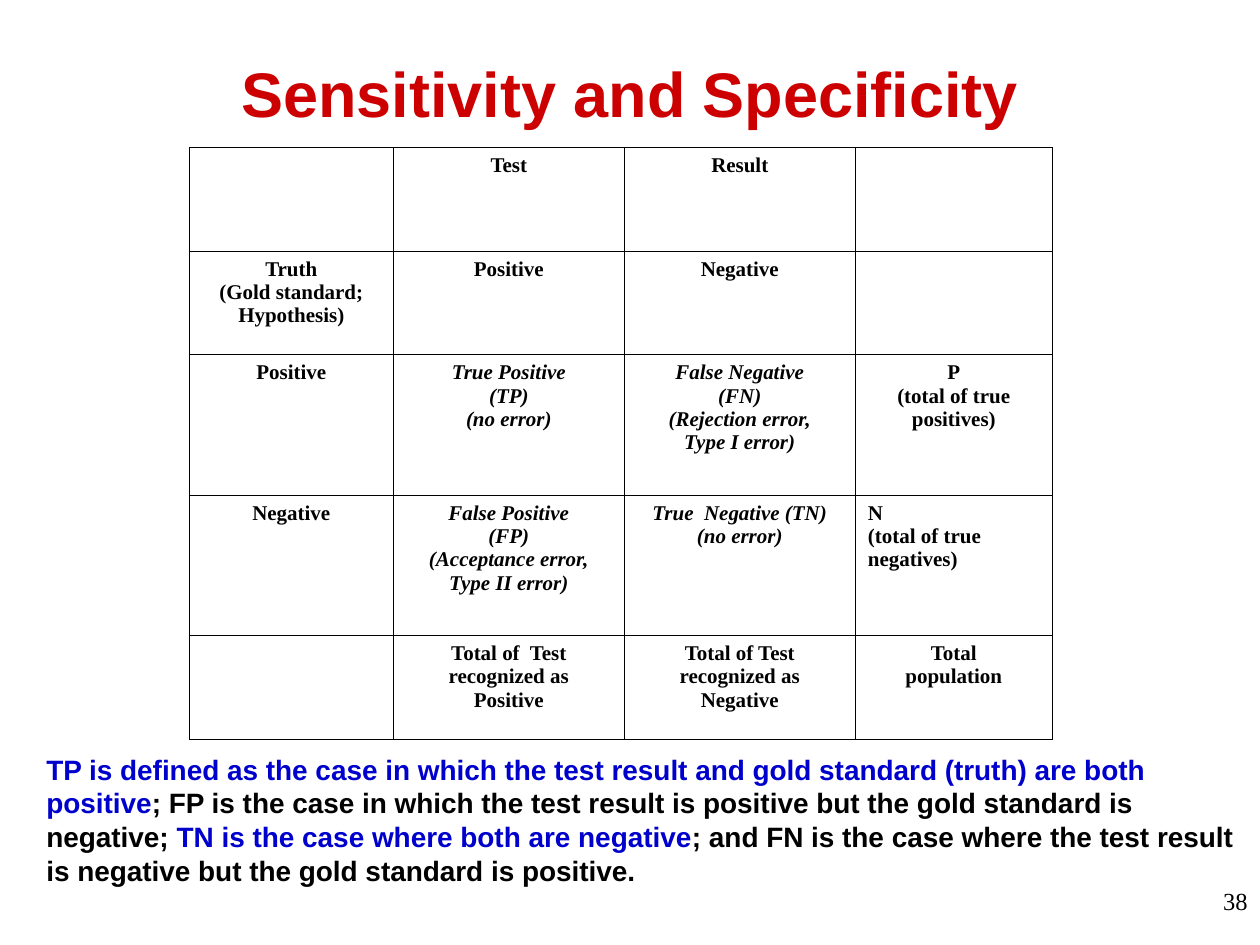
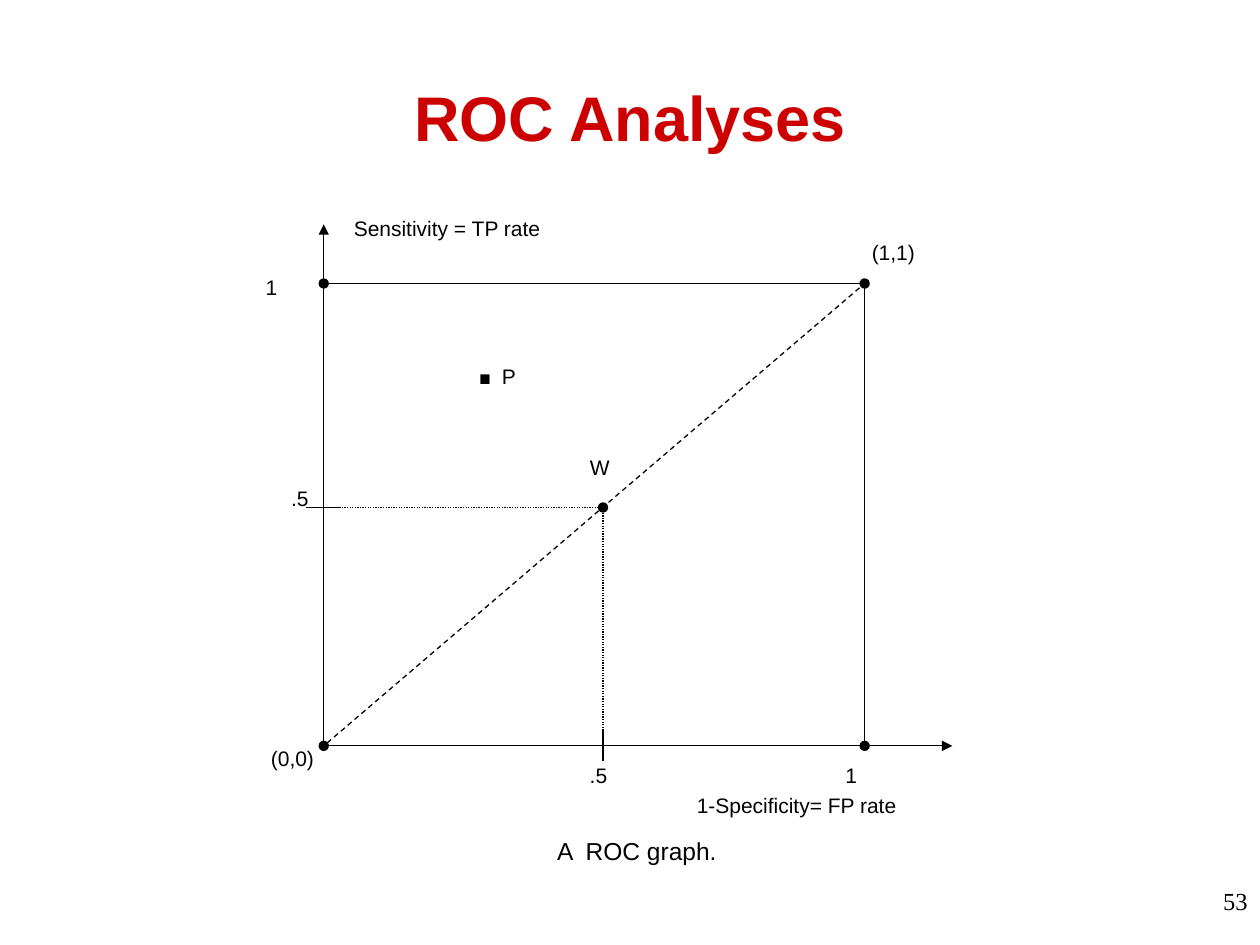
"""Build two slides on classifier evaluation: a truth table and a ROC graph."""
from dataclasses import dataclass
from typing import Any, NamedTuple, Optional

import lxml.etree
import pptx
import pptx.dml.color
import pptx.enum.dml
import pptx.enum.shapes
import pptx.enum.text
import pptx.oxml.ns
import pptx.util

Pt = pptx.util.Pt
Align = pptx.enum.text.PP_ALIGN
Anchor = pptx.enum.text.MSO_ANCHOR
Dash = pptx.enum.dml.MSO_LINE


@dataclass(frozen=True)
class Theme:
    red: str = "CC0000"
    blue: str = "0000CC"
    black: str = "000000"
    white: str = "FFFFFF"
    sans: str = "Arial"
    serif: str = "Times New Roman"
    title_size: float = 36
    body_size: float = 16
    caption_size: float = 14
    label_size: float = 12
    marker_size: float = 37
    line_width: float = 0.75
    border_width: float = 0.45


THEME = Theme()


class Box(NamedTuple):
    left: float
    top: float
    width: float
    height: float


class Run(NamedTuple):
    text: str
    size: float = THEME.label_size
    color: str = THEME.black
    font: str = THEME.sans
    bold: bool = False
    italic: bool = False


class Label(NamedTuple):
    box: Box
    runs: tuple[Run, ...]
    align: Align = Align.LEFT
    padded: bool = False


class Segment(NamedTuple):
    start: tuple[float, float]
    end: tuple[float, float]
    head: str = ""
    tail: str = ""
    dash: Optional[Dash] = None


class CellText(NamedTuple):
    lines: tuple[str, ...] = ()
    italic: bool = False
    align: Align = Align.CENTER


PADDING = {"margin_left": Pt(7.2), "margin_right": Pt(7.2), "margin_top": Pt(3.6), "margin_bottom": Pt(3.6)}
NO_PADDING = dict.fromkeys(PADDING, 0)

COLUMN_WIDTHS = (116.6, 132, 132, 112.6)
ROW_HEIGHTS = (59.2, 59.2, 80.2, 80.2, 59.2)
TRUTH_TABLE = (
    (CellText(), CellText(("Test",)), CellText(("Result",)), CellText()),
    (CellText(("Truth", "(Gold standard; Hypothesis)")), CellText(("Positive",)),
     CellText(("Negative",)), CellText()),
    (CellText(("Positive",)), CellText(("True Positive", "(TP)", "(no error)"), True),
     CellText(("False Negative", "(FN)", "(Rejection error,", "Type I error)"), True),
     CellText(("P", "(total of true positives)"))),
    (CellText(("Negative",)),
     CellText(("False Positive", "(FP)", "(Acceptance error,", "Type II error)"), True),
     CellText(("True  Negative (TN)", "(no error)"), True),
     CellText(("N", "(total of true", "negatives)"), align=Align.LEFT)),
    (CellText(), CellText(("Total of  Test", "recognized as", "Positive")),
     CellText(("Total of Test", "recognized as", "Negative")), CellText(("Total", "population"))),
)

DEFINITIONS = tuple(
    Run(text, THEME.body_size, color, bold=True)
    for text, color in (
        ("TP is defined as the case in which the test result and gold standard (truth) are both positive",
         THEME.blue),
        ("; FP is the case in which the test result is positive but the gold standard is negative; ",
         THEME.black),
        ("TN is the case where both are negative", THEME.blue),
        ("; and FN is the case where the test result is negative but the gold standard is positive.",
         THEME.black),
    )
)

X_ZERO, X_HALF, X_ONE, X_ARROW = 185, 344.6, 494.1, 544.2
Y_ZERO, Y_HALF, Y_ONE, Y_ARROW = 426.2, 290, 162, 128.2
TICK = 10
ROC_LINES = (
    Segment((X_HALF, Y_ZERO - 8.6), (X_HALF, Y_ZERO + 8.6)),
    Segment((X_ZERO, Y_ARROW), (X_ZERO, Y_ZERO), head="triangle"),
    Segment((X_ZERO, Y_ZERO), (X_ARROW, Y_ZERO), tail="triangle"),
    Segment((X_ZERO, Y_ZERO), (X_ONE, Y_ONE), "oval", "oval", Dash.DASH),
    Segment((X_ZERO, Y_HALF), (X_HALF, Y_HALF), tail="oval", dash=Dash.ROUND_DOT),
    Segment((X_HALF, Y_HALF), (X_HALF, Y_ZERO), dash=Dash.ROUND_DOT),
    Segment((X_ZERO - TICK, Y_HALF), (X_ZERO + TICK, Y_HALF)),
    Segment((X_ONE, Y_ONE), (X_ZERO, Y_ONE), tail="oval"),
    Segment((X_ONE, Y_ONE), (X_ONE, Y_ZERO), tail="oval"),
)
ROC_LABELS = (
    Label(Box(337, 260, 34, 18.7), (Run("W"),)),
    Label(Box(265, 179.3, 59.8, 42.5),
          (Run(".", THEME.marker_size, bold=True), Run(" ", THEME.body_size, bold=True), Run("P")),
          padded=True),
    Label(Box(337, 435.6, 38.9, 22.3), (Run(".5"),)),
    Label(Box(195.1, 119.5, 179.3, 25.2), (Run("Sensitivity = TP rate"),), padded=True),
    Label(Box(398.2, 452.9, 172, 25.2), (Run("1-Specificity= FP rate"),)),
    Label(Box(144.7, 153.4, 20.2, 17.3), (Run("1"),), Align.RIGHT, True),
    Label(Box(483.1, 435.6, 31, 17.3), (Run("1"),)),
    Label(Box(144.7, 277.2, 31.7, 32.4), (Run(".5"),), Align.RIGHT),
    Label(Box(498.2, 136.8, 31, 17.3), (Run("(1,1)"),)),
    Label(Box(154.8, 426.2, 35.3, 17.3), (Run("(0,0)"),)),
)


def apply_format(target: Any, values: dict[str, Any]) -> None:
    """Set every named attribute on the target."""
    for name, value in values.items():
        setattr(target, name, value)


def rgb(color: str) -> pptx.dml.color.RGBColor:
    """Turn a hex string into a colour."""
    return pptx.dml.color.RGBColor.from_string(color)


def in_points(values: tuple[float, ...]) -> list[pptx.util.Length]:
    """Turn numbers into point lengths."""
    return [Pt(value) for value in values]


def write_runs(paragraph: Any, runs: tuple[Run, ...], align: Align) -> None:
    """Write formatted runs into a paragraph."""
    paragraph.alignment = align
    for item in runs:
        run = paragraph.add_run()
        run.text = item.text
        apply_format(run.font, {"name": item.font, "size": Pt(item.size),
                                "bold": item.bold, "italic": item.italic})
        run.font.color.rgb = rgb(item.color)


def add_label(slide: Any, label: Label, anchor: Anchor = Anchor.TOP) -> Any:
    """Draw a text box and return its paragraph."""
    frame = slide.shapes.add_textbox(*in_points(label.box)).text_frame
    padding = PADDING if label.padded else NO_PADDING
    apply_format(frame, {"word_wrap": True, "vertical_anchor": anchor, **padding})
    write_runs(frame.paragraphs[0], label.runs, label.align)
    return frame.paragraphs[0]


def add_base_slide(presentation: Any, title: str, title_height: float, number: int) -> Any:
    """Add a blank slide with its title and page number."""
    slide = presentation.slides.add_slide(presentation.slide_layouts[6])
    title_run = Run(title, THEME.title_size, THEME.red, bold=True)
    add_label(slide, Label(Box(36, 21.6, 648, title_height), (title_run,), Align.CENTER, True),
              Anchor.MIDDLE)
    number_run = Run(str(number), THEME.caption_size, font=THEME.serif)
    add_label(slide, Label(Box(552.2, 502.6, 167.8, 37.4), (number_run,), Align.RIGHT, True))
    return slide


def add_borders(cell: Any) -> None:
    """Draw thin black lines around a table cell."""
    properties = cell._tc.get_or_add_tcPr()
    for position, side in enumerate(("lnL", "lnR", "lnT", "lnB")):
        line = lxml.etree.Element(pptx.oxml.ns.qn(f"a:{side}"), w=str(Pt(THEME.border_width)))
        fill = lxml.etree.SubElement(line, pptx.oxml.ns.qn("a:solidFill"))
        lxml.etree.SubElement(fill, pptx.oxml.ns.qn("a:srgbClr"), val=THEME.black)
        properties.insert(position, line)


def add_truth_table(slide: Any) -> None:
    """Draw the table of test results against truth."""
    box = Box(108.2, 84.4, sum(COLUMN_WIDTHS), sum(ROW_HEIGHTS))
    table = slide.shapes.add_table(len(ROW_HEIGHTS), len(COLUMN_WIDTHS), *in_points(box)).table
    apply_format(table, {"first_row": False, "horz_banding": False})
    for column, width in zip(table.columns, COLUMN_WIDTHS):
        column.width = Pt(width)
    for row, height, contents in zip(table.rows, ROW_HEIGHTS, TRUTH_TABLE):
        row.height = Pt(height)
        for cell, content in zip(row.cells, contents):
            apply_format(cell, PADDING)
            cell.fill.background()
            add_borders(cell)
            for index, line in enumerate(content.lines):
                frame = cell.text_frame
                paragraph = frame.add_paragraph() if index else frame.paragraphs[0]
                run = Run(line, font=THEME.serif, bold=True, italic=content.italic)
                write_runs(paragraph, (run,), content.align)


def add_segment(slide: Any, segment: Segment) -> None:
    """Draw a straight line with its end marks."""
    connector = slide.shapes.add_connector(
        pptx.enum.shapes.MSO_CONNECTOR.STRAIGHT, *in_points(segment.start + segment.end))
    connector.line.color.rgb = rgb(THEME.black)
    apply_format(connector.line, {"width": Pt(THEME.line_width), "dash_style": segment.dash})
    line = connector.line._get_or_add_ln()
    for tag, mark in (("a:headEnd", segment.head), ("a:tailEnd", segment.tail)):
        if mark:
            lxml.etree.SubElement(line, pptx.oxml.ns.qn(tag), type=mark)
    lxml.etree.SubElement(connector._element.spPr, pptx.oxml.ns.qn("a:effectLst"))


def add_caption(slide: Any, text: str) -> None:
    """Draw the white caption bar under the graph."""
    shape = slide.shapes.add_shape(pptx.enum.shapes.MSO_SHAPE.RECTANGLE,
                                   *in_points(Box(190.8, 480.2, 346.3, 17.3)))
    shape.shadow.inherit = False
    shape.fill.solid()
    shape.fill.fore_color.rgb = rgb(THEME.white)
    shape.line.fill.background()
    apply_format(shape.text_frame, {"word_wrap": True, "vertical_anchor": Anchor.TOP, **NO_PADDING})
    paragraph = shape.text_frame.paragraphs[0]
    apply_format(paragraph, {"line_spacing": 0.88, "space_after": Pt(13)})
    write_runs(paragraph, (Run(text, THEME.caption_size),), Align.CENTER)


def main() -> None:
    """Build and save the presentation."""
    presentation = pptx.Presentation()
    apply_format(presentation, {"slide_width": Pt(720), "slide_height": Pt(540)})

    table_slide = add_base_slide(presentation, "Sensitivity and Specificity", 62.6, 38)
    add_truth_table(table_slide)
    definitions = add_label(table_slide, Label(Box(19.4, 426.2, 700.6, 84.2), DEFINITIONS, padded=True))
    definitions.line_spacing = Pt(19.25)

    graph_slide = add_base_slide(presentation, "ROC Analyses", 90, 53)
    for segment in ROC_LINES:
        add_segment(graph_slide, segment)
    for label in ROC_LABELS:
        add_label(graph_slide, label)
    add_caption(graph_slide, "A  ROC graph.")

    presentation.save("out.pptx")


if __name__ == "__main__":
    main()
